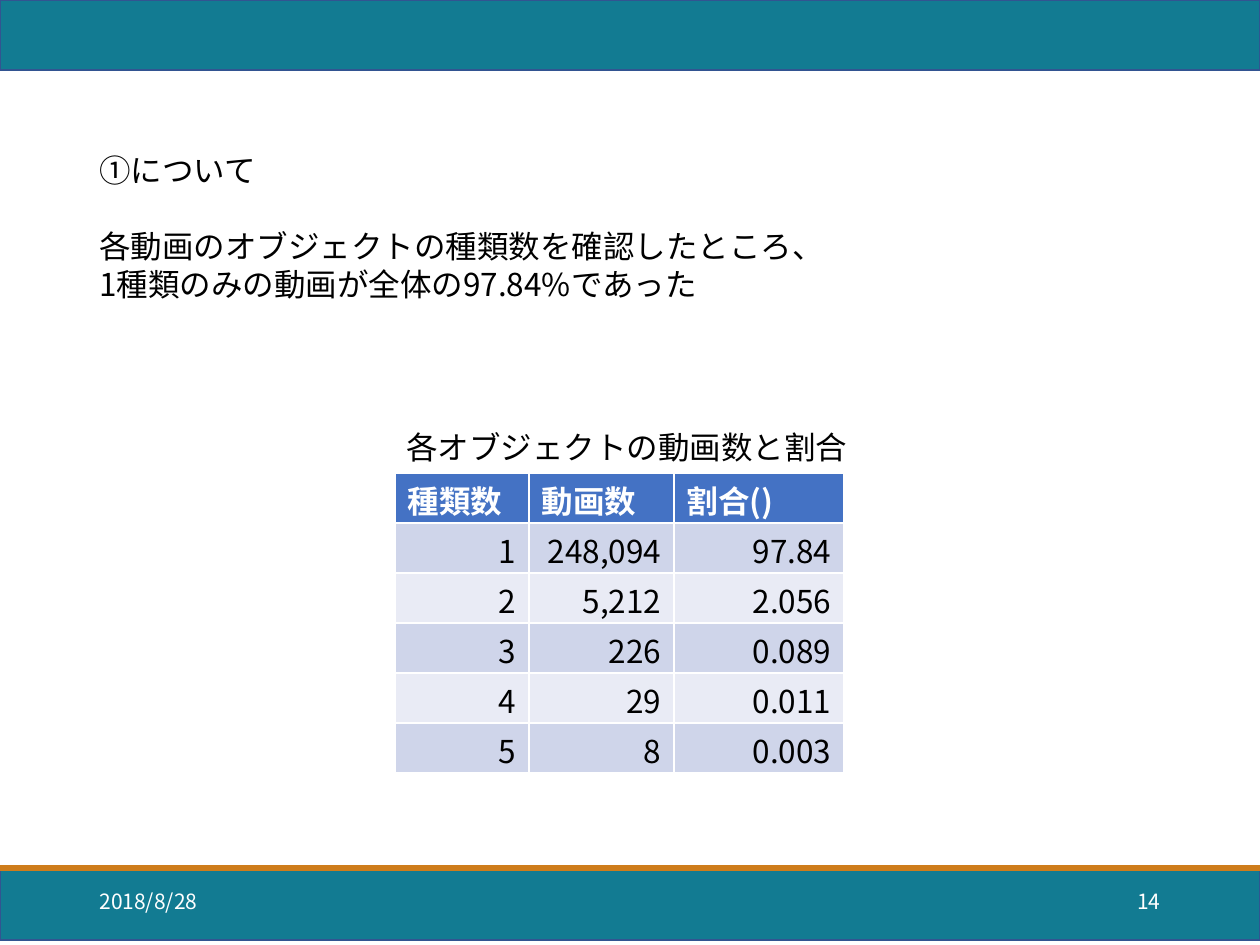
"""Build the slide on the number of object kinds per video."""
from lxml.etree import SubElement
from pptx import Presentation
from pptx.dml.color import RGBColor
from pptx.enum.shapes import MSO_CONNECTOR, MSO_SHAPE
from pptx.enum.text import MSO_ANCHOR, PP_ALIGN
from pptx.oxml.ns import qn
from pptx.util import Pt

FONT = "Noto Sans CJK JP"
PX = 914400 // 126
WIDTH, HEIGHT = 1260, 945
BAND_HEIGHT, BAND_TOPS = 70, (870, 0)
RULE_Y = 868
TEAL, NAVY, ORANGE = "127B92", "325491", "CE7C1B"
WHITE, BLACK, HEADER_BLUE = "FFFFFF", "000000", "4472C4"
STRIPES = ("CFD5EA", "E9EBF5")

FOOTERS = [("2018/8/28", 87, PP_ALIGN.LEFT), ("14", 890, PP_ALIGN.RIGHT)]
FINDING = ["①について", "", "各動画のオブジェクトの種類数を確認したところ、",
           "1種類のみの動画が全体の97.84%であった"]
CAPTION = ["各オブジェクトの動画数と割合"]
COUNTS = [
    ("種類数", "動画数", "割合()"),
    ("1", "248,094", "97.84"),
    ("2", "5,212", "2.056"),
    ("3", "226", "0.089"),
    ("4", "29", "0.011"),
    ("5", "8", "0.003"),
]
COLUMN_WIDTHS = (134, 145, 170)
ROW_HEIGHT = 50


def px(*lengths):
    return [round(length * PX) for length in lengths]


def color(value):
    return RGBColor.from_string(value)


def fill(target, value):
    target.fill.solid()
    target.fill.fore_color.rgb = color(value)


def style(paragraph, size, value, align=PP_ALIGN.LEFT, bold=False):
    paragraph.alignment = align
    paragraph.font.size = Pt(size)
    for run in paragraph.runs:
        run.font.size, run.font.name, run.font.bold = Pt(size), FONT, bold
        run.font.color.rgb = color(value)
        SubElement(run.font._element, qn("a:ea")).set("typeface", FONT)


def add_text(slide, box, lines, size, value, align=PP_ALIGN.LEFT,
             anchor=MSO_ANCHOR.TOP, wrap=False, spacing=None):
    frame = slide.shapes.add_textbox(*px(*box)).text_frame
    frame.text = "\n".join(lines)
    frame.word_wrap, frame.vertical_anchor = wrap, anchor
    for paragraph in frame.paragraphs:
        style(paragraph, size, value, align)
        paragraph.line_spacing = spacing


def add_counts(slide, left, top):
    box = (left, top, sum(COLUMN_WIDTHS), ROW_HEIGHT * len(COUNTS))
    table = slide.shapes.add_table(len(COUNTS), len(COLUMN_WIDTHS), *px(*box)).table
    for column, width in zip(table.columns, px(*COLUMN_WIDTHS)):
        column.width = width
    for r, values in enumerate(COUNTS):
        header = r == 0
        for c, value in enumerate(values):
            cell = table.cell(r, c)
            cell.text = value
            cell.margin_top, cell.margin_bottom = px(4, 0)
            cell.vertical_anchor = MSO_ANCHOR.TOP if header else MSO_ANCHOR.MIDDLE
            fill(cell, HEADER_BLUE if header else STRIPES[(r - 1) % 2])
            style(cell.text_frame.paragraphs[0], 18, WHITE if header else BLACK,
                  PP_ALIGN.LEFT if header else PP_ALIGN.RIGHT, header)


deck = Presentation()
deck.slide_width, deck.slide_height = px(WIDTH, HEIGHT)
slide = deck.slides.add_slide(deck.slide_layouts[6])

for top in BAND_TOPS:
    band = slide.shapes.add_shape(MSO_SHAPE.RECTANGLE, *px(0, top, WIDTH, BAND_HEIGHT))
    band.shadow.inherit = False
    fill(band, TEAL)
    band.line.color.rgb, band.line.width = color(NAVY), Pt(1)

rule = slide.shapes.add_connector(MSO_CONNECTOR.STRAIGHT, *px(0, RULE_Y, WIDTH, RULE_Y))
rule.line.color.rgb, rule.line.width = color(ORANGE), Pt(3.75)
SubElement(rule._element.spPr, qn("a:effectLst"))

for words, left, align in FOOTERS:
    add_text(slide, (left, 876, 283, 50), [words], 12, WHITE, align,
             MSO_ANCHOR.MIDDLE, True)
add_text(slide, (87, 145, 757, 165), FINDING, 18, BLACK, spacing=Pt(21.7))
add_counts(slide, 395, 473)
add_text(slide, (394, 422, 471, 50), CAPTION, 18, BLACK, spacing=Pt(21.7))

deck.save("out.pptx")
